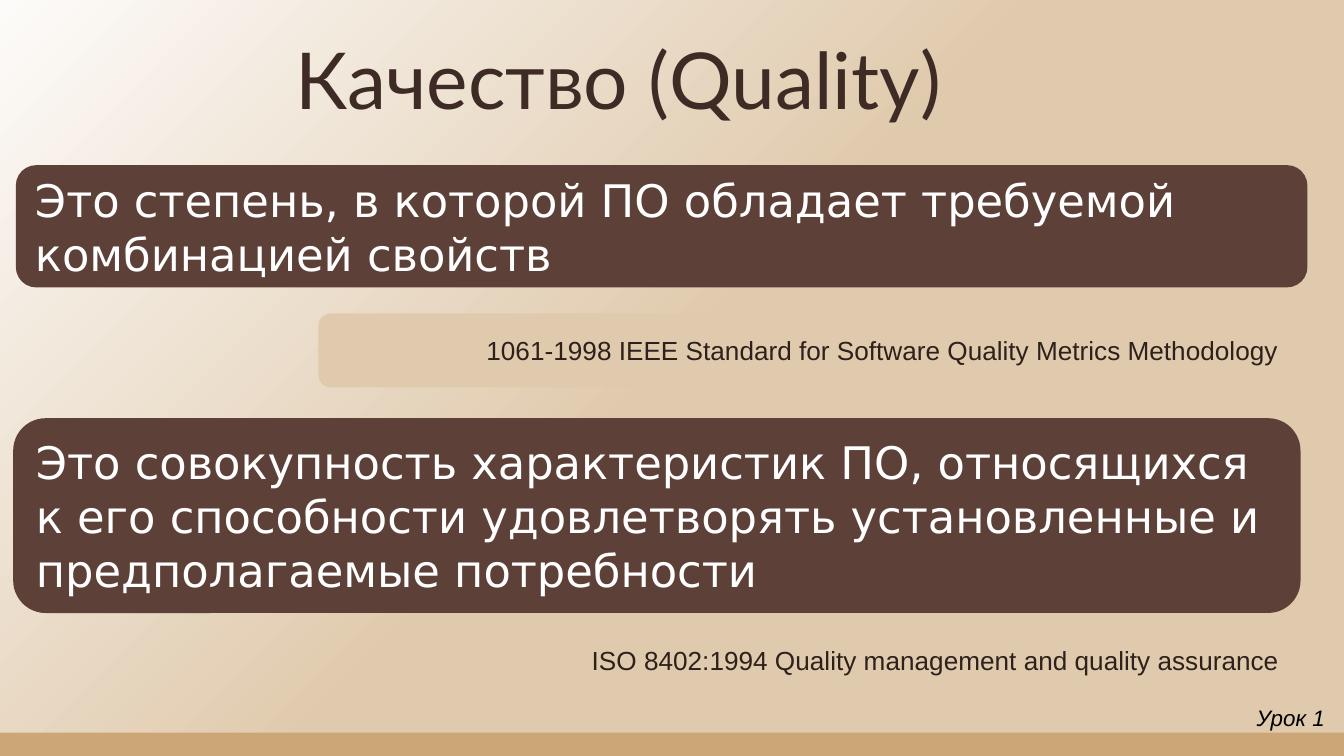
import pptx
import pptx.dml.color
import pptx.enum.shapes
import pptx.enum.text
import pptx.util

Cm = pptx.util.Cm
ALIGN = pptx.enum.text.PP_ALIGN
ANCHOR = pptx.enum.text.MSO_ANCHOR
SHAPE = pptx.enum.shapes.MSO_SHAPE


def color(code):
    return pptx.dml.color.RGBColor.from_string(code)


class Deck:
    sand, brown, strip = "E0CAAD", "5D4037", "CCA677"
    head = {"name": "Lato", "size": 42, "color": "3F2B25"}
    thesis = {"name": "DejaVu Sans", "size": 24, "color": "FFFFFF"}
    source = {"name": "Arial", "size": 14, "color": "2E201B"}
    mark = {"name": "Arial", "size": 12, "color": "000000", "italic": True}

    def __init__(self, show):
        self.slide = show.slides.add_slide(show.slide_layouts[5])

    def ground(self, start, end):
        fill = self.slide.background.fill
        fill.gradient()
        fill.gradient_angle = 315
        for stop, code, place in zip(fill.gradient_stops, (start, end), (0, 0.5)):
            stop.color.rgb = color(code)
            stop.position = place

    def words(self, shape, text, style, align=ALIGN.LEFT, anchor=ANCHOR.MIDDLE):
        frame = shape.text_frame
        frame.text = text
        frame.word_wrap = True
        frame.auto_size = pptx.enum.text.MSO_AUTO_SIZE.NONE
        frame.vertical_anchor = anchor
        line = frame.paragraphs[0]
        line.alignment = align
        for key, value in style.items():
            if key == "color":
                line.font.color.rgb = color(value)
            else:
                setattr(line.font, key, pptx.util.Pt(value) if key == "size" else value)
        return frame

    def title(self, text, box):
        shape = self.slide.shapes.title
        for side, value in zip(("left", "top", "width", "height"), box):
            setattr(shape, side, Cm(value))
        frame = self.words(shape, text, self.head, anchor=ANCHOR.BOTTOM)
        for side in ("left", "top", "right", "bottom"):
            setattr(frame, "margin_" + side, Cm(0.25))
        frame.paragraphs[0].line_spacing = 0.9

    def panel(self, box, fill, kind=SHAPE.ROUNDED_RECTANGLE):
        shape = self.slide.shapes.add_shape(kind, *map(Cm, box))
        shape.shadow.inherit = False
        shape.fill.solid()
        shape.fill.fore_color.rgb = color(fill)
        shape.line.fill.background()
        return shape

    def label(self, text, box):
        shape = self.slide.shapes.add_textbox(*map(Cm, box))
        self.words(shape, text, self.mark, anchor=ANCHOR.TOP)


def main():
    show = pptx.Presentation()
    show.slide_width, show.slide_height = Cm(25.4), Cm(14.28)
    deck = Deck(show)

    # Background and bottom strip
    deck.ground("FDFBF9", deck.sand)
    deck.panel((0, 13.84, 25.4, 0.44), deck.strip, SHAPE.RECTANGLE)

    # Title
    deck.title("Качество (Quality)", (5.33, 0.48, 14.73, 2.16))

    # Definitions and their sources
    parts = [
        ("ISO 8402:1994 Quality management and quality assurance",
         (10.87, 11.81, 13.89, 1.3), deck.sand, deck.source, ALIGN.LEFT),
        ("Это степень, в которой ПО обладает требуемой комбинацией свойств",
         (0.3, 3.12, 24.41, 2.31), deck.brown, deck.thesis, ALIGN.LEFT),
        ("Это совокупность характеристик ПО, относящихся к его способности "
         "удовлетворять установленные и предполагаемые потребности",
         (0.25, 7.9, 24.33, 3.68), deck.brown, deck.thesis, ALIGN.LEFT),
        ("1061-1998 IEEE Standard for Software Quality Metrics Methodology",
         (6.02, 5.92, 18.47, 1.4), deck.sand, deck.source, ALIGN.RIGHT),
    ]
    for text, box, fill, style, align in parts:
        deck.words(deck.panel(box, fill), text, style, align)

    # Lesson mark
    deck.label("Урок 1", (23.5, 13.18, 1.9, 0.76))

    show.save("out.pptx")


if __name__ == "__main__":
    main()
